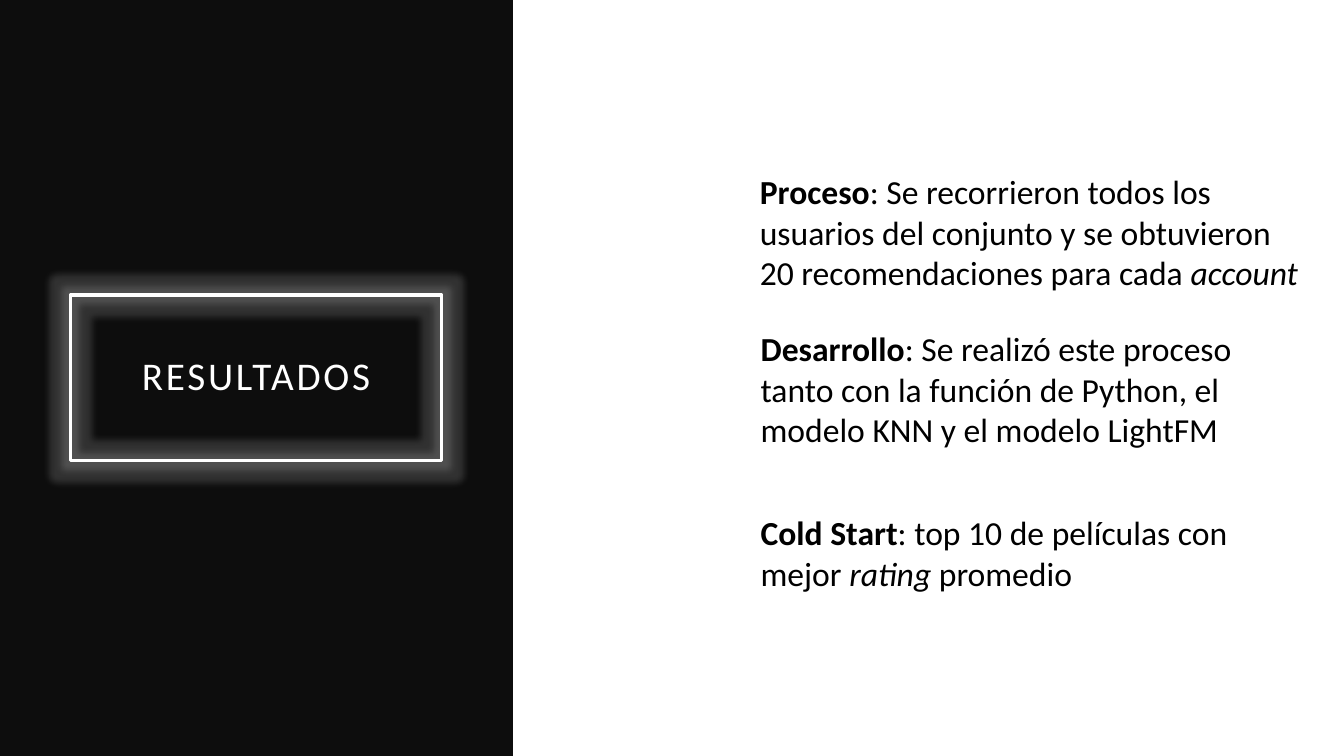
from lxml import etree
from pptx import Presentation
from pptx import util as u
from pptx.dml.color import RGBColor
from pptx.enum import shapes, text
from pptx.oxml.ns import qn

COLORS = {"panel": "0D0D0D", "light": "FFFFFF", "ink": "000000"}
FONT = "Calibri"

# Each note: left, top, width, height in cm, then (text, style) runs
NOTES = [
    (18.9, 4.19, 14.2, 3.33, [
        ("Proceso", "bold"),
        (": Se recorrieron todos los usuarios del conjunto y se obtuvieron "
         "20 recomendaciones para cada ", ""),
        ("account", "italic")]),
    (18.92, 8.15, 13.46, 3.33, [
        ("Desarrollo", "bold"),
        (": Se realizó este proceso tanto con la función de Python, "
         "el modelo KNN y el modelo LightFM", "")]),
    (18.92, 12.78, 13.21, 2.31, [
        ("Cold Start", "bold"),
        (": top 10 de películas con mejor ", ""),
        ("rating", "italic"),
        (" promedio", "")]),
]


def color(name):
    return RGBColor.from_string(COLORS[name])


def style_run(run, size, color_name):
    run.font.name = FONT
    run.font.size = u.Pt(size)
    run.font.color.rgb = color(color_name)


def add_rectangle(slide, left, top, width, height):
    rectangle = slide.shapes.add_shape(
        shapes.MSO_SHAPE.RECTANGLE,
        u.Cm(left), u.Cm(top), u.Cm(width), u.Cm(height))
    rectangle.shadow.inherit = False
    return rectangle


def add_panel(slide):
    panel = add_rectangle(slide, 0, 0, 12.93, 19.05)
    panel.fill.solid()
    panel.fill.fore_color.rgb = color("panel")
    panel.line.fill.background()


def add_glow(shape, color_name, radius, opacity):
    effects = shape._element.spPr.find(qn("a:effectLst"))
    glow = etree.SubElement(effects, qn("a:glow"), rad=str(u.Pt(radius)))
    tint = etree.SubElement(glow, qn("a:srgbClr"), val=COLORS[color_name])
    etree.SubElement(tint, qn("a:alpha"), val=str(opacity * 1000))


def add_heading(slide, wording):
    heading = add_rectangle(slide, 1.78, 7.44, 9.35, 4.17)
    heading.fill.background()
    heading.line.color.rgb = color("light")
    heading.line.width = u.Pt(2.5)
    add_glow(heading, "light", 10, 15)

    frame = heading.text_frame
    frame.text = wording
    frame.word_wrap = True
    frame.vertical_anchor = text.MSO_ANCHOR.MIDDLE
    frame.margin_left = frame.margin_right = u.Cm(0.51)
    frame.margin_top = frame.margin_bottom = u.Cm(0.51)
    line = frame.paragraphs[0]
    line.alignment = text.PP_ALIGN.CENTER
    line.line_spacing = 0.9
    style_run(line.runs[0], 28, "light")
    line.runs[0].font._element.set("spc", "200")  # letter spacing, 2 pt


def add_note(slide, left, top, width, height, runs):
    note = slide.shapes.add_textbox(
        u.Cm(left), u.Cm(top), u.Cm(width), u.Cm(height))
    frame = note.text_frame
    frame.word_wrap = True
    frame.auto_size = text.MSO_AUTO_SIZE.SHAPE_TO_FIT_TEXT
    for wording, style in runs:
        run = frame.paragraphs[0].add_run()
        run.text = wording
        style_run(run, 24, "ink")
        run.font.bold = style == "bold"
        run.font.italic = style == "italic"


def main():
    deck = Presentation()
    deck.slide_width, deck.slide_height = u.Cm(33.87), u.Cm(19.05)
    slide = deck.slides.add_slide(deck.slide_layouts[6])

    # Dark side with the framed heading
    add_panel(slide)
    add_heading(slide, "RESULTADOS")

    # Notes on the white side
    for note in NOTES:
        add_note(slide, *note)

    deck.save("out.pptx")


if __name__ == "__main__":
    main()
